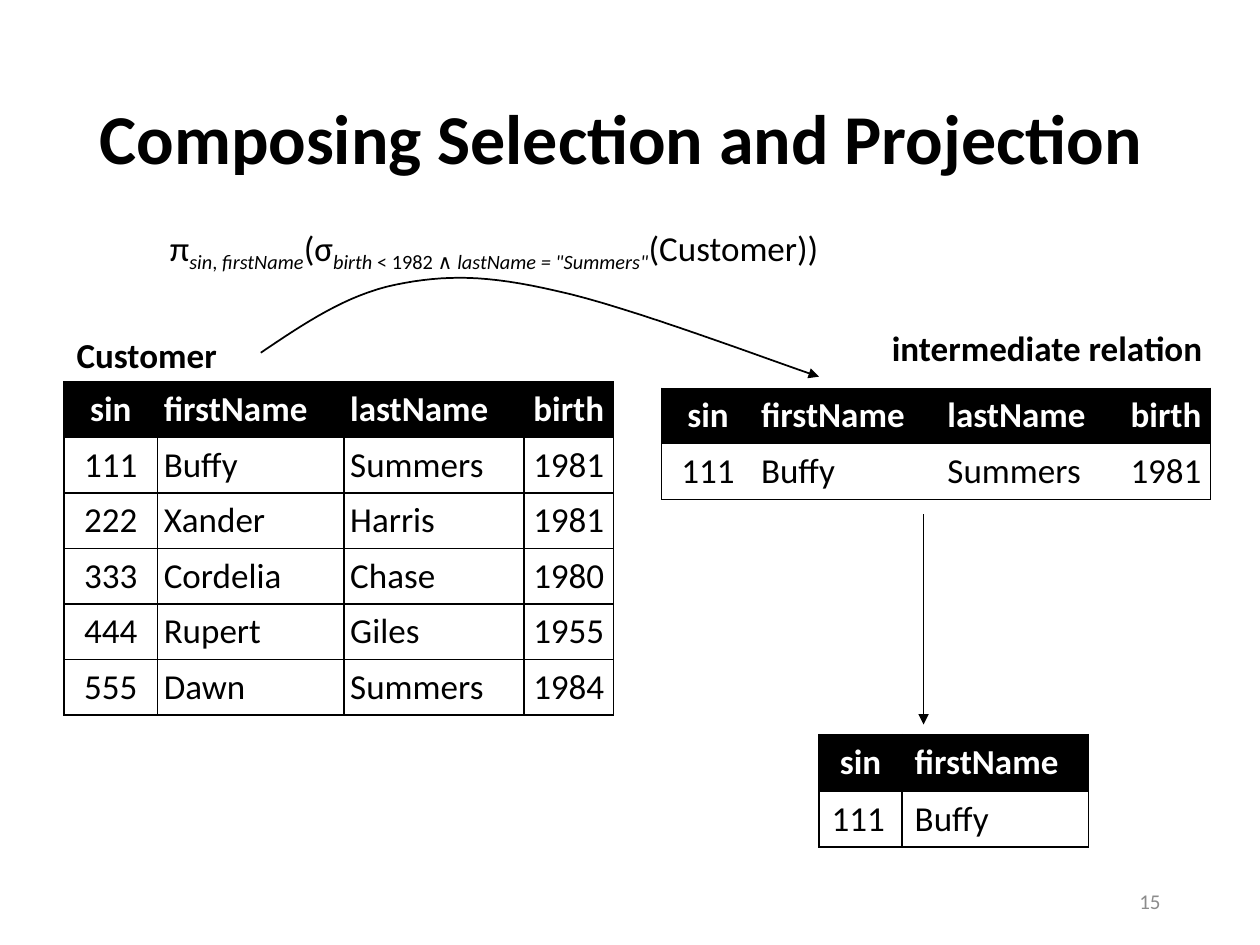
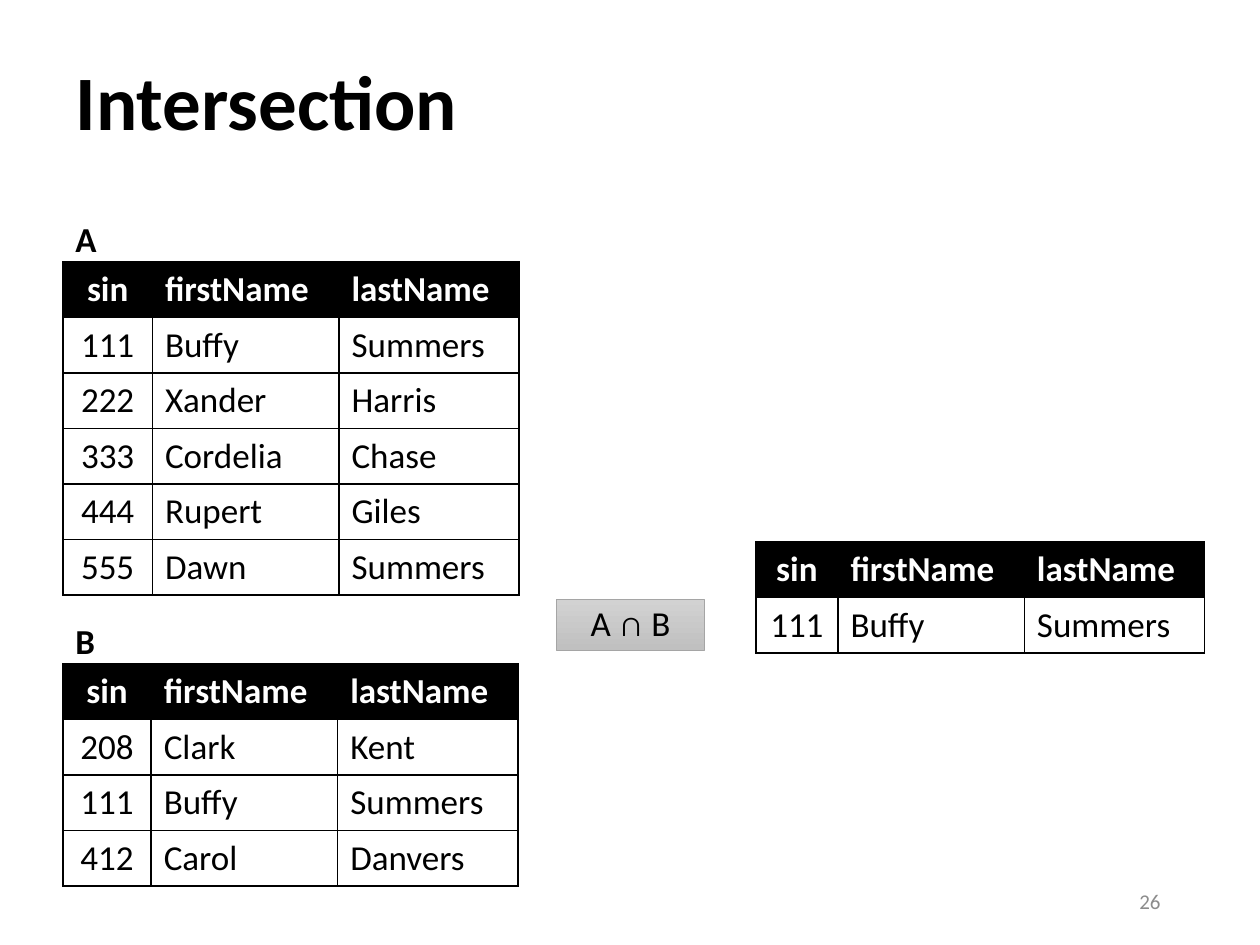
"""Build two slides on relational algebra: composed operators and intersection."""
from lxml import etree
from pptx import Presentation
from pptx.dml.color import RGBColor
from pptx.enum.shapes import MSO_CONNECTOR, MSO_SHAPE
from pptx.enum.text import MSO_ANCHOR, MSO_AUTO_SIZE, PP_ALIGN
from pptx.oxml.ns import qn
from pptx.util import Inches, Pt

LEFT, MID, RIGHT = PP_ALIGN.LEFT, PP_ALIGN.CENTER, PP_ALIGN.RIGHT
CENTER, TOP = MSO_ANCHOR.MIDDLE, MSO_ANCHOR.TOP
NO_FIT = MSO_AUTO_SIZE.NONE
LINE, RECT = MSO_CONNECTOR.STRAIGHT, MSO_SHAPE.RECTANGLE
FONT = "Calibri"
HEX = {"ink": "000000", "paper": "FFFFFF", "page": "8C8C8C",
       "light": "D2D2D2", "dark": "C0C0C0", "edge": "A5A5A5"}
RGB = {name: RGBColor.from_string(code) for name, code in HEX.items()}


def write(frame, runs, size=20, color="ink", bold=False, align=LEFT,
          anchor=TOP, space=None):
    """Fill a frame with one paragraph of (text, style) runs; i is italic, s is subscript."""
    frame.word_wrap = True
    frame.auto_size = NO_FIT
    frame.vertical_anchor = anchor
    para = frame.paragraphs[0]
    para.alignment = align
    para.line_spacing = space
    for words, style in runs:
        run = para.add_run()
        run.text = words
        font = run.font
        font.name, font.size, font.bold = FONT, Pt(size), bold
        font.italic = "i" in style
        font.color.rgb = RGB[color]
        if "s" in style:
            run._r.get_or_add_rPr().set("baseline", "-25000")


def draw_table(slide, left, top, widths, high, rows, aligns, pad, grid):
    """Add a table with a black head row, and either a full grid or a thin frame."""
    frame = slide.shapes.add_table(
        len(rows), len(widths), Inches(left), Inches(top),
        Inches(sum(widths)), Inches(sum(high)))
    table = frame.table
    table.first_row = table.horz_banding = False
    for col, width in zip(table.columns, widths):
        col.width = Inches(width)
    for r, row in enumerate(rows):
        table.rows[r].height = Inches(high[r])
        for c, word in enumerate(row):
            cell = table.cell(r, c)
            cell.margin_left = cell.margin_right = Inches(pad)
            cell.margin_top = cell.margin_bottom = Inches(0.05)
            cell.vertical_anchor = CENTER
            props = cell._tc.get_or_add_tcPr()
            outer = {"lnL": c == 0, "lnR": c == len(row) - 1,
                     "lnT": r == 0, "lnB": r == len(rows) - 1}
            for side, edge in outer.items():
                line = etree.SubElement(props, qn("a:" + side))
                line.set("w", str(Pt(1 if grid else 0.5)))
                if grid or edge:
                    fill = etree.SubElement(line, qn("a:solidFill"))
                    etree.SubElement(fill, qn("a:srgbClr")).set("val", HEX["ink"])
                else:
                    etree.SubElement(line, qn("a:noFill"))
            head = r == 0
            cell.fill.solid()
            cell.fill.fore_color.rgb = RGB["ink" if head else "paper"]
            align = MID if head and c == 0 else aligns[c]
            write(cell.text_frame, [(word, "")], bold=head, align=align,
                  color="paper" if head else "ink", anchor=CENTER)


HEAD = ["sin", "firstName", "lastName", "birth"]
PEOPLE = [["111", "Buffy", "Summers", "1981"],
          ["222", "Xander", "Harris", "1981"],
          ["333", "Cordelia", "Chase", "1980"],
          ["444", "Rupert", "Giles", "1955"],
          ["555", "Dawn", "Summers", "1984"]]
OTHERS = [["208", "Clark", "Kent"], PEOPLE[0][:3], ["412", "Carol", "Danvers"]]
NAMES = [row[:3] for row in PEOPLE]
FULL, SHORT = [MID, LEFT, LEFT, MID], [MID, LEFT, LEFT]
WIDE = [0.74, 1.48, 1.43, 0.71]
ROW = 0.43

PAGES = [
    {"title": "Composing Selection and Projection", "size": 40,
     "at": (0.69, 0.4, 8.62, 1.45), "page": "15",
     "labels": [("intermediate relation", 6.98, 2.58, 3.02, 0.9),
                ("Customer", 0.51, 2.6, 1.4, None)],
     "tables": [
         (0.51, 3.03, WIDE, [ROW] * 6, [HEAD] + PEOPLE, FULL, 0.05, True),
         (6.5, 5.83, [0.66, 1.48], [0.45, ROW],
          [HEAD[:2], PEOPLE[0][:2]], [LEFT, LEFT], 0.1, True),
         (5.25, 3.08, WIDE, [ROW] * 2, [HEAD, PEOPLE[0]], FULL, 0.05, False)]},
    {"title": "Intersection", "size": 44,
     "at": (0.5, 0.13, 8.25, 1.42), "page": "26",
     "labels": [("A", 0.5, 1.68, 0.42, None), ("B", 0.5, 4.87, 0.42, None)],
     "tables": [
         (6, 4.3, [0.65, 1.48, 1.43], [ROW] * 2,
          [HEAD[:3], NAMES[0]], SHORT, 0.1, True),
         (0.5, 5.27, [0.7, 1.48, 1.43], [ROW] * 4,
          [HEAD[:3]] + OTHERS, SHORT, 0.1, True),
         (0.5, 2.08, [0.71, 1.48, 1.43], [ROW] * 6,
          [HEAD[:3]] + NAMES, SHORT, 0.1, True)]},
]

deck = Presentation()
deck.slide_width, deck.slide_height = Inches(10), Inches(7.5)
slides = []
for page in PAGES:
    slide = deck.slides.add_slide(deck.slide_layouts[5])
    slides.append(slide)
    title = slide.shapes.title
    title.left, title.top, title.width, title.height = map(Inches, page["at"])
    write(title.text_frame, [(page["title"], "")], size=page["size"],
          bold=True, anchor=CENTER, space=0.9)
    for table in page["tables"]:
        draw_table(slide, *table)
    for words, left, top, width, space in page["labels"]:
        box = slide.shapes.add_textbox(
            Inches(left), Inches(top), Inches(width), Inches(0.44))
        write(box.text_frame, [(words, "")], bold=True, space=space)
    box = slide.shapes.add_textbox(
        Inches(7.06), Inches(6.95), Inches(2.25), Inches(0.4))
    write(box.text_frame, [(page["page"], "")], size=12, color="page",
          align=RIGHT, anchor=CENTER)

compose, meet = slides

box = compose.shapes.add_textbox(
    Inches(1.25), Inches(1.75), Inches(6.58), Inches(0.4))
box.fill.solid()
box.fill.fore_color.rgb = RGB["paper"]
write(box.text_frame, [
    ("π", ""), ("sin", "is"), (", ", "s"), ("firstName", "is"), ("(σ", ""),
    ("birth", "is"), (" < 1982 ∧ ", "s"), ('lastName = "Summers"', "is"),
    ("(Customer))", "")], space=0.9)

down = compose.shapes.add_connector(
    LINE, Inches(7.33), Inches(4.08), Inches(7.33), Inches(5.75))
etree.SubElement(down._element.spPr, qn("a:effectLst"))

KNOTS = [(2.07, 2.8), (2.41, 2.57), (2.75, 2.34), (3.14, 2.26),
         (3.53, 2.18), (3.86, 2.18), (4.42, 2.31),
         (4.98, 2.43), (6.14, 2.87), (6.5, 2.99)]
STEPS = 16
points = []
for first in range(0, len(KNOTS) - 1, 3):
    for step in range(1, STEPS + 1):
        t = step / STEPS
        parts = [(1 - t) ** 3, 3 * t * (1 - t) ** 2, 3 * t * t * (1 - t), t ** 3]
        points.append([
            Inches(sum(part * knot[axis] for part, knot
                       in zip(parts, KNOTS[first:first + 4])))
            for axis in (0, 1)])
pen = compose.shapes.build_freeform(*map(Inches, KNOTS[0]))
pen.add_line_segments(points, close=False)
curve = pen.convert_to_shape()
curve.shadow.inherit = False
curve.fill.background()

for arrow, width in ((down, 0.5), (curve, 1)):
    arrow.line.color.rgb = RGB["ink"]
    arrow.line.width = Pt(width)
    tail = etree.SubElement(arrow.line._get_or_add_ln(), qn("a:tailEnd"))
    tail.set("type", "triangle")

badge = meet.shapes.add_shape(
    RECT, Inches(4.42), Inches(4.76), Inches(1.17), Inches(0.4))
badge.shadow.inherit = False
badge.fill.gradient()
badge.fill.gradient_angle = 270
for stop, name in zip(badge.fill.gradient_stops, ("light", "dark")):
    stop.color.rgb = RGB[name]
badge.line.color.rgb = RGB["edge"]
badge.line.width = Pt(0.5)
write(badge.text_frame, [("A ∩ B", "")], align=MID, anchor=CENTER, space=0.9)

deck.save("out.pptx")
